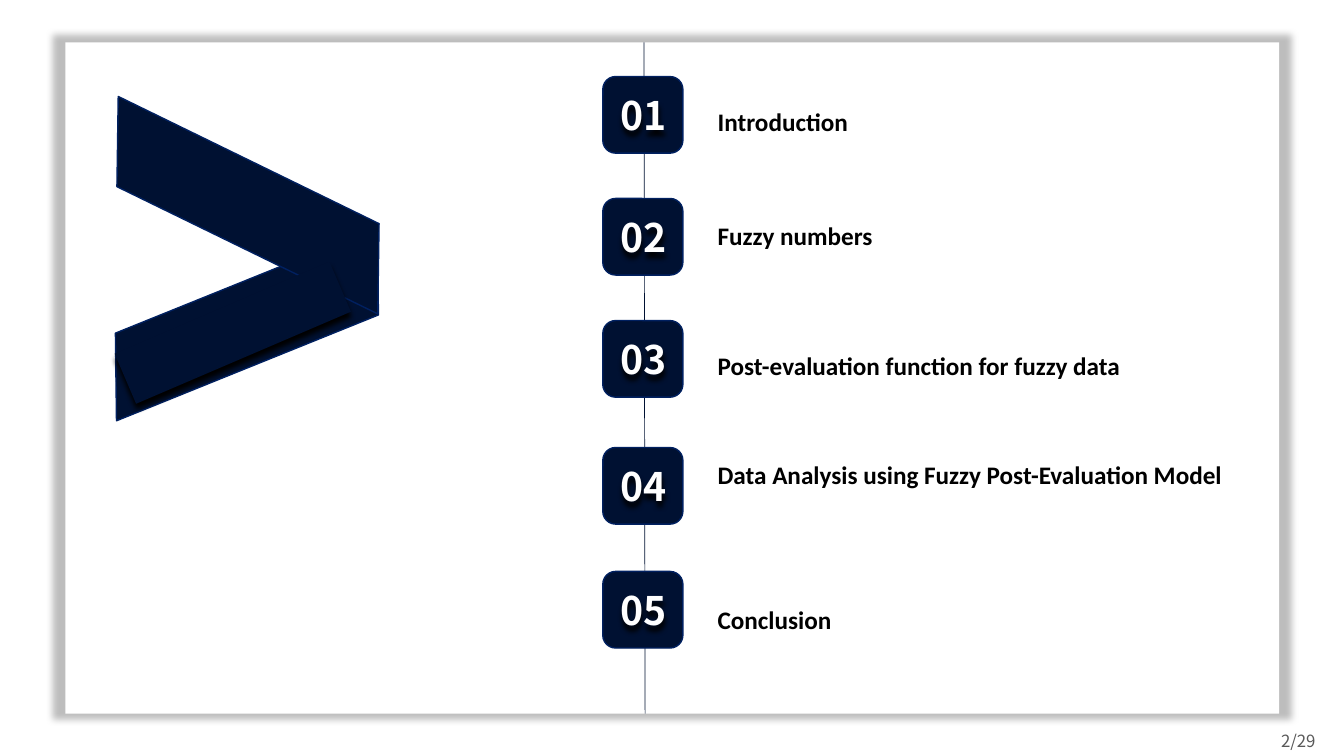
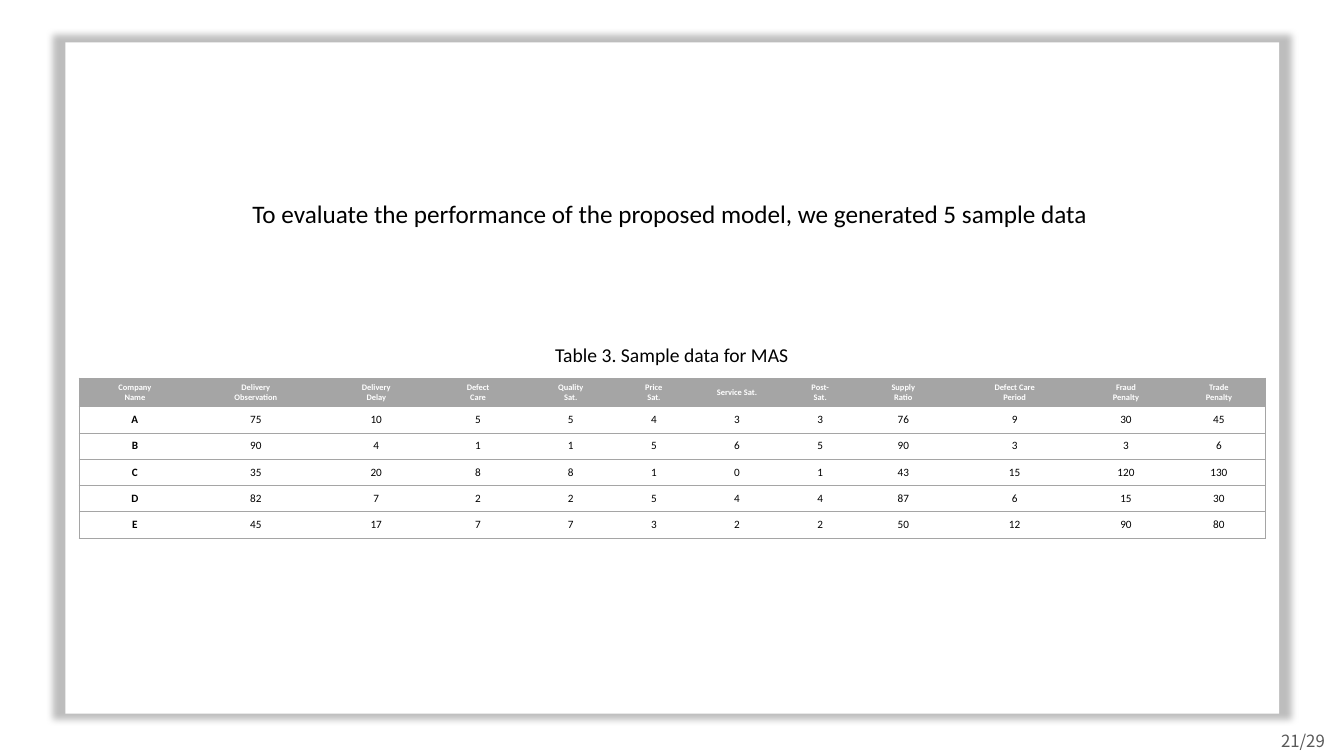
from dataclasses import dataclass

from lxml import etree
from pptx import Presentation
from pptx.dml.color import RGBColor
from pptx.enum.shapes import MSO_CONNECTOR, MSO_SHAPE
from pptx.enum.text import MSO_ANCHOR, MSO_AUTO_SIZE, PP_ALIGN
from pptx.oxml.ns import qn
from pptx.util import Pt

RECT = MSO_SHAPE.RECTANGLE
ROUNDED = MSO_SHAPE.ROUNDED_RECTANGLE
SLANTED = MSO_SHAPE.PARALLELOGRAM
STRAIGHT = MSO_CONNECTOR.STRAIGHT
CENTER = PP_ALIGN.CENTER
LEFT = PP_ALIGN.LEFT
TOP = MSO_ANCHOR.TOP
MIDDLE = MSO_ANCHOR.MIDDLE
FIXED = MSO_AUTO_SIZE.NONE


@dataclass(frozen=True)
class Theme:
    navy: str = "001132"
    edge: str = "002060"
    white: str = "FFFFFF"
    black: str = "000000"
    gray: str = "A5A5A5"
    muted: str = "595959"
    text_font: str = "Calibri"
    number_font: str = "Noto Sans CJK SC"
    page_font: str = "Noto Sans CJK KR"
    number_size: float = 28
    main_size: float = 18
    caption_size: float = 14
    page_size: float = 12
    cell_size: float = 8
    header_size: float = 6


THEME = Theme()
SLIDE_W, SLIDE_H = 960, 540
FRAME = (46.8, 30.2, 866.9, 479.6)
PAGE_BOX = (908, 518.4, 52, 21.6)

AGENDA = [
    ("01", "Introduction", 54.7, 72),
    ("02", "Fuzzy numbers", 141.8, 153.4),
    ("03", "Post-evaluation function for fuzzy data", 229, 246.2),
    ("04", "Data Analysis using Fuzzy Post-Evaluation Model", 319.7, 324),
    ("05", "Conclusion", 408.2, 427.7),
]
BADGE_LEFT, BADGE_W, BADGE_H = 430.6, 57.2, 54.7
NUMBER_DX, NUMBER_DY, NUMBER_H = 5.8, 7, 41
TOPIC_LEFT, TOPIC_W, TOPIC_LINE = 505.4, 380, 22

RIBBONS = [
    ((64.1, 202.3, 224.6, 58.3), 338, 0.39, False),
    ((59.8, 117.4, 234.7, 58.3), 26, 0.47, True),
]
RIBBON_FOLD = ((82.8, 218.2, 167, 38.9), 336.8)

STATEMENT = "To evaluate the performance of the proposed model, we generated 5 sample data"
CAPTION = "Table 3. Sample data for MAS"
COLUMNS = [
    ("Company\nName", 79.9), ("Delivery\nObservation", 92.9),
    ("Delivery\nDelay", 79.2), ("Defect\nCare", 66.2),
    ("Quality\nSat.", 66.2), ("Price\nSat.", 52.6),
    ("Service Sat.", 66.2), ("Post-\nSat.", 52.6),
    ("Supply\nRatio", 66.2), ("Defect Care\nPeriod", 92.9),
    ("Fraud\nPenalty", 66.2), ("Trade\nPenalty", 66.6),
]
SAMPLES = [
    ("A", 75, 10, 5, 5, 4, 3, 3, 76, 9, 30, 45),
    ("B", 90, 4, 1, 1, 5, 6, 5, 90, 3, 3, 6),
    ("C", 35, 20, 8, 8, 1, 0, 1, 43, 15, 120, 130),
    ("D", 82, 7, 2, 2, 5, 4, 4, 87, 6, 15, 30),
    ("E", 45, 17, 7, 7, 3, 2, 2, 50, 12, 90, 80),
]
TABLE_LEFT, TABLE_TOP = 56.4, 270
HEADER_H, ROW_H = 20.4, 18.8
NO_GRID_STYLE = "{2D5ABB26-0587-4C30-8999-92F81FD0307C}"


def points(box):
    return [Pt(length) for length in box]


def rgb(color):
    return RGBColor.from_string(color)


def add_color(parent, color, alpha=None):
    clr = etree.SubElement(parent, qn("a:srgbClr"), val=color)
    if alpha is not None:
        etree.SubElement(clr, qn("a:alpha"), val=str(alpha * 1000))


def set_shadow(shape, alpha, blur, distance=0, scale=100):
    shape.shadow.inherit = False
    effects = shape.element.spPr.find(qn("a:effectLst"))
    shadow = etree.SubElement(
        effects, qn("a:outerShdw"), blurRad=str(Pt(blur)), dist=str(Pt(distance)),
        dir="5400000", sx=str(scale * 1000), sy=str(scale * 1000),
        algn="ctr", rotWithShape="0")
    add_color(shadow, THEME.black, alpha)


def add_block(slide, kind, box, fill, edge=None, rotation=0):
    block = slide.shapes.add_shape(kind, *points(box))
    block.shadow.inherit = False
    block.fill.solid()
    block.fill.fore_color.rgb = rgb(fill)
    if edge:
        block.line.color.rgb = rgb(edge)
        block.line.width = Pt(1)
    else:
        block.line.fill.background()
    block.rotation = rotation
    return block


def write(paragraph, text, size, color=THEME.black, font=THEME.text_font,
          bold=False, align=LEFT):
    paragraph.alignment = align
    for index, line in enumerate(text.split("\n")):
        if index:
            paragraph.add_line_break()
        run = paragraph.add_run()
        run.text = line
        run.font.size = Pt(size)
        run.font.name = font
        run.font.bold = bold
        run.font.color.rgb = rgb(color)


def add_label(slide, box, text, size, **style):
    label = slide.shapes.add_textbox(*points(box))
    label.text_frame.word_wrap = True
    write(label.text_frame.paragraphs[0], text, size, **style)
    return label


def place(placeholder, box, anchor):
    placeholder.left, placeholder.top, placeholder.width, placeholder.height = points(box)
    frame = placeholder.text_frame
    frame.auto_size = FIXED
    frame.word_wrap = True
    frame.vertical_anchor = anchor
    return frame


def start_slide(prs, layout, page):
    slide = prs.slides.add_slide(prs.slide_layouts.get_by_name(layout))
    frame = add_block(slide, RECT, FRAME, THEME.white)
    set_shadow(frame, alpha=25, blur=5, scale=102)
    tree = slide.shapes._spTree
    tree.remove(frame.element)
    tree.insert(2, frame.element)
    add_label(slide, PAGE_BOX, page, THEME.page_size,
              color=THEME.muted, font=THEME.page_font)
    return slide


def add_ribbon(slide):
    for box, rotation, slant, flipped in RIBBONS:
        band = add_block(slide, SLANTED, box, THEME.navy, THEME.edge, rotation)
        band.adjustments[0] = slant
        if flipped:
            band.element.spPr.find(qn("a:xfrm")).set("flipH", "1")
    box, rotation = RIBBON_FOLD
    fold = add_block(slide, RECT, box, THEME.navy, rotation=rotation)
    set_shadow(fold, alpha=100, blur=4, distance=4)


def add_topics(slide):
    first_top = AGENDA[0][3]
    frame = place(slide.placeholders[1], (TOPIC_LEFT, first_top, TOPIC_W, 390), TOP)
    previous = first_top - TOPIC_LINE
    for index, (_, topic, _, top) in enumerate(AGENDA):
        paragraph = frame.add_paragraph() if index else frame.paragraphs[0]
        paragraph.line_spacing = Pt(TOPIC_LINE)
        paragraph.space_before = Pt(round(top - previous - TOPIC_LINE, 1))
        paragraph.space_after = Pt(0)
        write(paragraph, topic, THEME.main_size, bold=True)
        props = paragraph._p.get_or_add_pPr()
        props.set("marL", "0")
        props.set("indent", "0")
        etree.SubElement(props, qn("a:buNone"))
        previous = top


def build_agenda(prs):
    slide = start_slide(prs, "Title and Content", "2/29")
    title = slide.shapes.title.element
    title.getparent().remove(title)
    add_ribbon(slide)
    spine = slide.shapes.add_connector(
        STRAIGHT, *points((460, FRAME[1], 460.8, FRAME[1] + FRAME[3])))
    spine.line.color.rgb = rgb(THEME.navy)
    spine.line.width = Pt(0.5)
    etree.SubElement(spine.element.spPr, qn("a:effectLst"))
    for number, _, top, _ in AGENDA:
        add_block(slide, ROUNDED, (BADGE_LEFT, top, BADGE_W, BADGE_H),
                  THEME.navy, THEME.edge)
        numeral = add_label(
            slide, (BADGE_LEFT + NUMBER_DX, top + NUMBER_DY, BADGE_W, NUMBER_H),
            number, THEME.number_size, color=THEME.white,
            font=THEME.number_font, bold=True)
        set_shadow(numeral, alpha=100, blur=4, distance=4)
    add_topics(slide)


def set_borders(cell, sides):
    props = cell._tc.get_or_add_tcPr()
    for side in sides:
        line = etree.SubElement(props, qn(f"a:ln{side}"), w=str(Pt(0.5)))
        add_color(etree.SubElement(line, qn("a:solidFill")), THEME.gray)


def add_samples(slide):
    rows = [[heading for heading, _ in COLUMNS], *SAMPLES]
    widths = [width for _, width in COLUMNS]
    height = HEADER_H + ROW_H * len(SAMPLES)
    table = slide.shapes.add_table(
        len(rows), len(widths),
        *points((TABLE_LEFT, TABLE_TOP, sum(widths), height))).table
    table.first_row = table.horz_banding = False
    table._tbl.tblPr.find(qn("a:tableStyleId")).text = NO_GRID_STYLE
    for column, width in zip(table.columns, widths):
        column.width = Pt(width)
    for r, values in enumerate(rows):
        header = r == 0
        table.rows[r].height = Pt(HEADER_H if header else ROW_H)
        for c, value in enumerate(values):
            cell = table.cell(r, c)
            cell.margin_left = cell.margin_right = Pt(5)
            cell.margin_top = cell.margin_bottom = Pt(0)
            cell.vertical_anchor = MIDDLE
            sides = ["L"] if c == 0 else ["R"] if c == len(values) - 1 else []
            set_borders(cell, sides + ["T", "B"])
            cell.fill.solid()
            cell.fill.fore_color.rgb = rgb(THEME.gray if header else THEME.white)
            write(cell.text_frame.paragraphs[0], str(value),
                  THEME.header_size if header else THEME.cell_size,
                  color=THEME.white if header else THEME.black,
                  bold=header or c == 0, align=CENTER)


def build_samples(prs):
    slide = start_slide(prs, "Title Only", "21/29")
    frame = place(slide.shapes.title, (170, 138.2, 617, 29), MIDDLE)
    write(frame.paragraphs[0], STATEMENT, THEME.main_size, align=CENTER)
    add_samples(slide)
    add_label(slide, (389.5, 241.2, 181, 28), CAPTION, THEME.caption_size)


def main():
    prs = Presentation()
    prs.slide_width, prs.slide_height = Pt(SLIDE_W), Pt(SLIDE_H)
    build_agenda(prs)
    build_samples(prs)
    prs.save("out.pptx")


if __name__ == "__main__":
    main()
